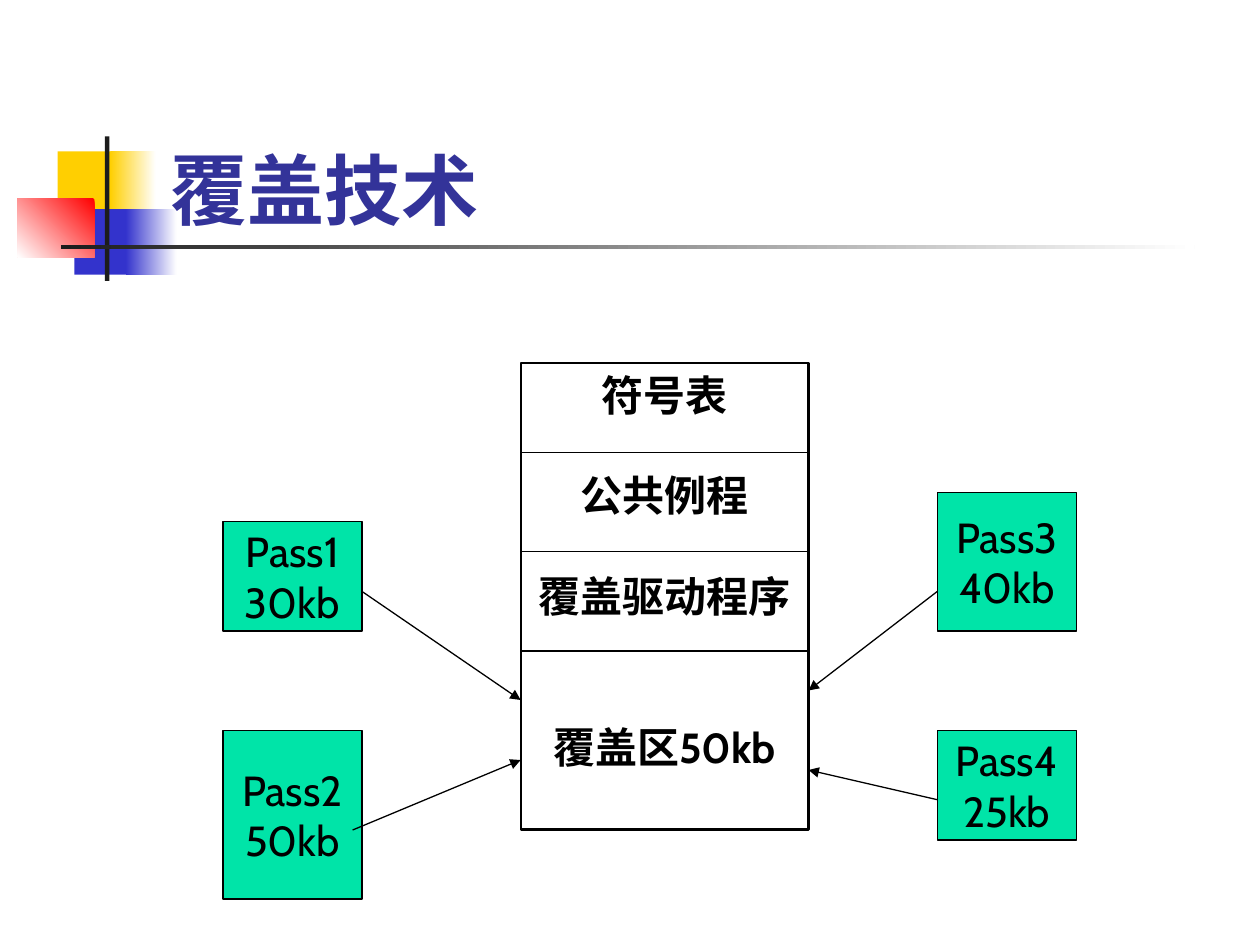
from dataclasses import dataclass

import pptx
import pptx.dml.color
import pptx.enum.shapes
import pptx.enum.text
import pptx.oxml
import pptx.oxml.ns
import pptx.util
from lxml import etree

Pt = pptx.util.Pt
qn = pptx.oxml.ns.qn
Anchor = pptx.enum.text.MSO_ANCHOR
Align = pptx.enum.text.PP_ALIGN


@dataclass(frozen=True)
class Theme:
    font: str = "Cabin"
    title_size: int = 44
    body_size: int = 24
    line_pitch: float = 28.8
    thin: float = 0.75
    thick: float = 1.25
    title: str = "333399"
    black: str = "000000"
    white: str = "FFFFFF"
    green: str = "00E4A8"
    yellow: str = "FFCF01"
    blue: str = "3333CC"
    red: str = "FF0000"
    bar: str = "1C1C1C"


THEME = Theme()


def rgb(value):
    return pptx.dml.color.RGBColor.from_string(value)


def add_rect(slide, box, fill=None, fade_angle=None, line_width=None):
    sp = slide.shapes.add_shape(
        pptx.enum.shapes.MSO_SHAPE.RECTANGLE, *map(Pt, box))
    sp.shadow.inherit = False
    if fill is None:
        sp.fill.background()
    elif fade_angle is None:
        sp.fill.solid()
        sp.fill.fore_color.rgb = rgb(fill)
    else:
        sp.fill.gradient()
        sp.fill.gradient_angle = fade_angle
        for stop, color in zip(sp.fill.gradient_stops, (fill, THEME.white)):
            stop.color.rgb = rgb(color)
    if line_width is None:
        sp.line.fill.background()
    else:
        sp.line.color.rgb = rgb(THEME.black)
        sp.line.width = Pt(line_width)
    return sp


def format_paragraph(p, size, color, bold, align):
    p.alignment = align
    p.font.name = THEME.font
    p.font.size = Pt(size)
    p.font.bold = bold
    p.font.color.rgb = rgb(color)


def write_lines(sp, lines, anchor, bold=False, gaps=None):
    tf = sp.text_frame
    tf.word_wrap = False
    tf.vertical_anchor = anchor
    tf.text = "\n".join(lines)
    for p, gap in zip(tf.paragraphs, gaps or [0] * len(lines)):
        format_paragraph(p, THEME.body_size, THEME.black, bold, Align.CENTER)
        if gap:
            p.space_before = Pt(gap * THEME.line_pitch)


def add_line(slide, start, end, arrow=False):
    cxn = slide.shapes.add_connector(
        pptx.enum.shapes.MSO_CONNECTOR.STRAIGHT, *map(Pt, (*start, *end)))
    cxn.line.color.rgb = rgb(THEME.black)
    cxn.line.width = Pt(THEME.thin)
    if arrow:
        ln = cxn.line._get_or_add_ln()
        etree.SubElement(ln, qn("a:tailEnd"), type="triangle")
    etree.SubElement(cxn._element.spPr, qn("a:effectLst"))


def add_ornament(slide):
    parts = [
        ((33, 86.5, 34.5, 37.5), THEME.yellow, None),
        ((63, 86.5, 26, 37.5), THEME.yellow, 0),
        ((42.5, 119.5, 33, 37.5), THEME.blue, None),
        ((72, 119.5, 29, 37.5), THEME.blue, 0),
        ((10, 113.5, 44, 33.5), THEME.red, 225),
        ((60, 78, 2.5, 82.5), THEME.bar, None),
        ((34.75, 140, 648, 2.5), THEME.bar, 0),
    ]
    for box, color, angle in parts:
        add_rect(slide, box, color, angle)


def add_title(slide, text):
    sp = slide.shapes.title
    sp.left, sp.top, sp.width, sp.height = map(Pt, (90.5, 48, 613.5, 90))
    tf = sp.text_frame
    tf.auto_size = pptx.enum.text.MSO_AUTO_SIZE.NONE
    tf.vertical_anchor = Anchor.BOTTOM
    tf.text = text
    format_paragraph(
        tf.paragraphs[0], THEME.title_size, THEME.title, True, Align.LEFT)
    sp.element.getparent().append(sp.element)


def add_memory(slide, left, right):
    top, bottom = 207.4, 474
    sp = add_rect(slide, (left, top, right - left, bottom - top),
                  line_width=THEME.thick)
    write_lines(sp, ["符号表", "公共例程", "覆盖驱动程序", "覆盖区50kb"],
                Anchor.TOP, bold=True, gaps=[0, 1, 1, 2])
    first_divider, row_height = 258.5, 56.8
    for i in range(3):
        y = first_divider + i * row_height
        add_line(slide, (left, y), (right, y))


def add_pass(slide, name, size, left, top, height):
    sp = add_rect(slide, (left, top, 79.5, height), THEME.green,
                  line_width=THEME.thin)
    write_lines(sp, [name, size], Anchor.MIDDLE)


def main():
    prs = pptx.Presentation()
    prs.slide_width, prs.slide_height = Pt(720), Pt(540)
    slide = prs.slides.add_slide(prs.slide_layouts[5])
    add_ornament(slide)
    add_title(slide, "覆盖技术")

    memory_left, memory_right = 297.5, 462
    pass_left, pass_right = 127.4, 535.6
    add_memory(slide, memory_left, memory_right)
    passes = [
        ("Pass1", "30kb", pass_left, 298, 62.6),
        ("Pass2", "50kb", pass_left, 417.4, 96.4),
        ("Pass3", "40kb", pass_right, 281.3, 79.3),
        ("Pass4", "25kb", pass_right, 417.4, 62.6),
    ]
    for item in passes:
        add_pass(slide, *item)

    arrows = [
        ((206.9, 338), (memory_left, 400)),
        ((201.5, 474.3), (memory_left, 434.3)),
        ((pass_right, 338), (memory_right, 394.6)),
        ((pass_right, 457), (memory_right, 440)),
    ]
    for start, end in arrows:
        add_line(slide, start, end, arrow=True)
    prs.save("out.pptx")


if __name__ == "__main__":
    main()
